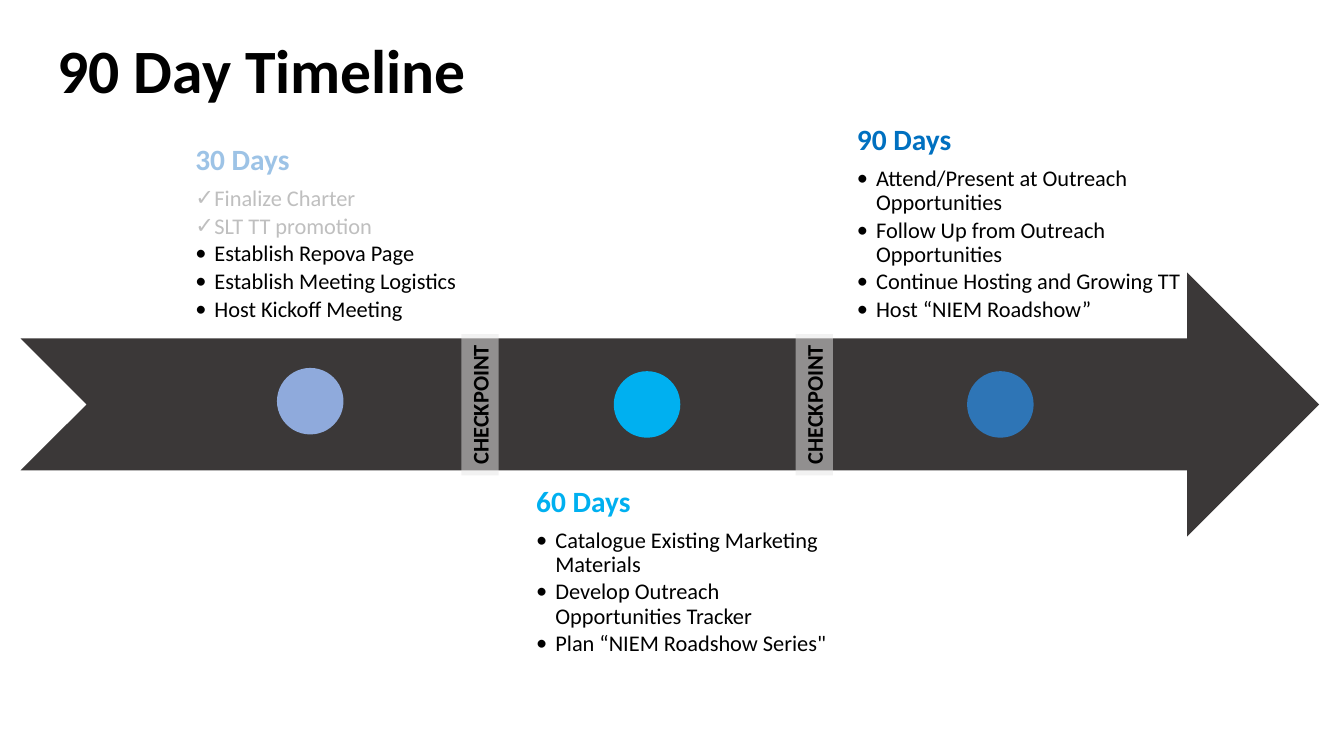
from lxml import etree
from pptx import Presentation
from pptx import util as u
from pptx.dml.color import RGBColor
from pptx.enum import shapes, text
from pptx.oxml.ns import qn

WIDTH, HEIGHT = u.Inches(13.33), u.Inches(7.5)
FONT, BLACK, DONE = "Calibri", "000000", "BFBFBF"
BAND_H = 34.93
TICK, DOT = "✓", "•"

PHASES = [
    dict(heading="30 Days", color="9DC3E6", box=(13.33, 9.78, 28.06), above=True,
         dot=(20.61, 48.67, "8FAADC"),
         done=["Finalize Charter", "SLT TT promotion"],
         items=["Establish Repova Page", "Establish Meeting Logistics",
                "Host Kickoff Meeting"]),
    dict(heading="60 Days", color="00B0F0", box=(38.7, 62.27, 24.76), above=False,
         dot=(45.67, 49.1, "00B0F0"), done=[],
         items=["Catalogue Existing Marketing Materials",
                "Develop Outreach Opportunities Tracker",
                "Plan “NIEM Roadshow Series\""]),
    dict(heading="90 Days", color="0070C0", box=(62.56, 9.82, 28.06), above=True,
         dot=(71.96, 49.1, "2E75B6"), done=[],
         items=["Attend/Present at Outreach Opportunities",
                "Follow Up from Outreach Opportunities",
                "Continue Hosting and Growing TT", "Host “NIEM Roadshow”"]),
]


def rgb(value):
    """Turn a hex string into a colour."""
    return RGBColor.from_string(value)


def share(x, y, w, h):
    """Turn percentages of the slide's size into lengths."""
    return [int(part * side / 100)
            for part, side in zip((x, y, w, h), (WIDTH, HEIGHT) * 2)]


def add_shape(s, kind, box, fill, alpha=None):
    """Add a flat preset shape, optionally with an opacity in percent."""
    sp = s.shapes.add_shape(kind, *share(*box))
    sp.shadow.inherit = False
    sp.line.fill.background()
    sp.fill.solid()
    sp.fill.fore_color.rgb = rgb(fill)
    if alpha is not None:
        clr = sp.fill._xPr.find(qn("a:solidFill"))[0]
        etree.SubElement(clr, qn("a:alpha"), val=str(alpha * 1000))
    return sp


def add_textbox(s, box, anchor, inset=None):
    """Add a wrapping text box and return its text frame."""
    tf = s.shapes.add_textbox(*share(*box)).text_frame
    tf.word_wrap = True
    tf.vertical_anchor = anchor
    if inset is not None:
        tf.margin_left = tf.margin_right = u.Inches(inset)
        tf.margin_top = tf.margin_bottom = u.Inches(inset)
    return tf


def write(tf, words, size, color=BLACK, bold=False, spacing=0.9, after=0,
          align=None, bullet=None):
    """Write one paragraph, reusing the first one while it is empty."""
    p = tf.paragraphs[0] if not tf.text else tf.add_paragraph()
    p.line_spacing, p.space_after, p.alignment = spacing, u.Pt(after), align
    r = p.add_run()
    r.text = words
    r.font.name, r.font.size, r.font.bold = FONT, u.Pt(size), bold
    r.font.color.rgb = rgb(color)
    if bullet:
        p.level = 1
        pPr = p._p.get_or_add_pPr()
        indent = u.Inches(0.19)
        pPr.set("marL", str(indent))
        pPr.set("indent", str(-indent))
        etree.SubElement(pPr, qn("a:buFont"), typeface=FONT)
        etree.SubElement(pPr, qn("a:buChar"), char=bullet)


def add_phase(s, heading, color, box, above, dot, done, items):
    """Add a phase's heading, its tasks and its marker on the arrow."""
    anchor = text.MSO_ANCHOR.BOTTOM if above else text.MSO_ANCHOR.TOP
    tf = add_textbox(s, (*box, BAND_H), anchor, inset=0.16)
    write(tf, heading, 21, color, bold=True, after=7.35)
    for item in done:
        write(tf, item, 16, DONE, after=2.4, bullet=TICK)
    for item in items:
        write(tf, item, 16, after=2.4, bullet=DOT)
    x, y, fill = dot
    add_shape(s, shapes.MSO_SHAPE.OVAL, (x, y, 4.95, 8.8), fill)


def add_checkpoint(s, x):
    """Add a translucent upright label across the arrow."""
    sp = add_shape(s, shapes.MSO_SHAPE.RECTANGLE, (x, 51.07, 10.5, 4.93),
                   "E7E6E6", alpha=50)
    sp.rotation = 270
    tf = sp.text_frame
    tf.word_wrap = False
    tf.auto_size = text.MSO_AUTO_SIZE.SHAPE_TO_FIT_TEXT
    tf.vertical_anchor = text.MSO_ANCHOR.TOP
    write(tf, "CHECKPOINT", 16, bold=True, spacing=1.0,
          align=text.PP_ALIGN.CENTER)


def main():
    """Build the timeline slide."""
    prs = Presentation()
    prs.slide_width, prs.slide_height = WIDTH, HEIGHT
    s = prs.slides.add_slide(prs.slide_layouts[6])
    title = add_textbox(s, (3.55, 0.1, 86.27, 19.33), text.MSO_ANCHOR.MIDDLE)
    write(title, "90 Day Timeline", 44, bold=True)
    add_shape(s, shapes.MSO_SHAPE.NOTCHED_RIGHT_ARROW,
              (1.53, 36.04, 96.62, BAND_H), "3B3838")
    for phase in PHASES:
        add_phase(s, **phase)
    for x in (30.46, 55.33):
        add_checkpoint(s, x)
    prs.save("out.pptx")


main()
